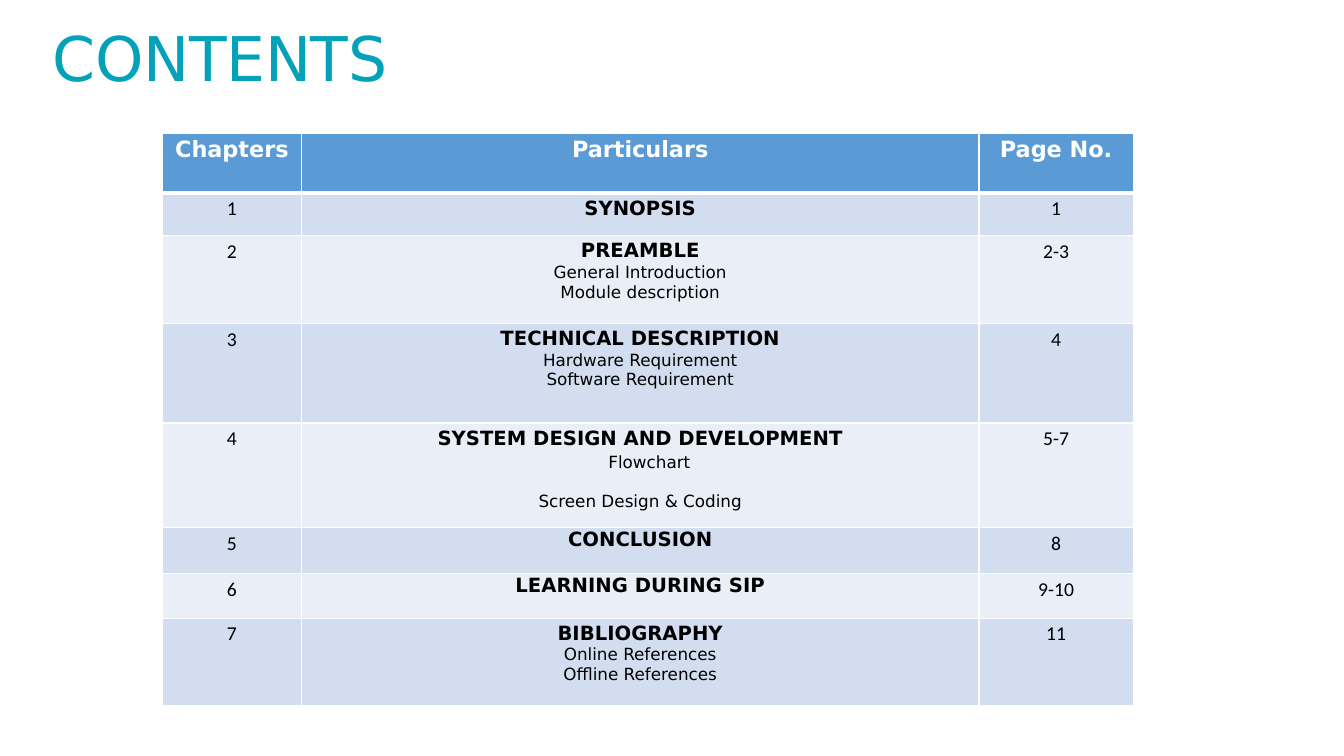
import pptx
import pptx.util
import pptx.dml.color
import pptx.enum.text
import pptx.oxml.ns
from lxml import etree

Cm, Pt = pptx.util.Cm, pptx.util.Pt
RGB = pptx.dml.color.RGBColor
PP_ALIGN = pptx.enum.text.PP_ALIGN
ANCHOR = pptx.enum.text.MSO_ANCHOR

# Content: sub-headings are (text, space before in pt, left indent in cm)
TITLE = "CONTENTS"
HEADER = ("Chapters", "Particulars", "Page No.")
CHAPTERS = [
    ("SYNOPSIS", [], "1"),
    ("PREAMBLE", [("General Introduction", 0, 0), ("Module description", 0, 0)], "2-3"),
    ("TECHNICAL DESCRIPTION",
     [("Hardware Requirement", 0, 0), ("Software Requirement", 0, 0)], "4"),
    ("SYSTEM DESIGN AND DEVELOPMENT",
     [("Flowchart", 2, 0.46), ("Screen Design & Coding", 14, 0)], "5-7"),
    ("CONCLUSION", [], "8"),
    ("LEARNING DURING SIP", [], "9-10"),
    ("BIBLIOGRAPHY", [("Online References", 0, 0), ("Offline References", 0, 0)], "11"),
]
TIGHT = ("CONCLUSION", "LEARNING DURING SIP")  # cells without top margin

# Layout in cm
COLS = (3.51, 17.07, 3.89)
ROWS = (1.52, 1.07, 2.21, 2.51, 2.64, 1.16, 1.12, 2.21)
LEFT, TOP = 4.09, 3.35

# Colours and formats
TEAL, BLUE = RGB(0x04, 0xA2, 0xB9), RGB(0x5B, 0x9B, 0xD5)
BANDS = (RGB(0xD2, 0xDE, 0xEF), RGB(0xEA, 0xEF, 0xF7))
WHITE, BLACK = RGB(255, 255, 255), RGB(0, 0, 0)
SANS = "DejaVu Sans"
TITLE_F = dict(name=SANS, size=Pt(44), bold=False)
HEAD_F = dict(name=SANS, size=Pt(16), bold=True)
NUMBER_F = dict(name="Calibri", size=Pt(14), bold=False)
CHAPTER_F = dict(name=SANS, size=Pt(14), bold=True)
SUB_F = dict(name=SANS, size=Pt(12), bold=False)


def add_text(p, text, fmt, color):
    r = p.add_run()
    r.text = text
    for key, value in fmt.items():
        setattr(r.font, key, value)
    r.font.color.rgb = color
    return r


def add_borders(cell, widths):
    tcPr = cell._tc.get_or_add_tcPr()
    for side, width in widths.items():
        ln = etree.SubElement(tcPr, pptx.oxml.ns.qn("a:ln" + side), w=str(Pt(width)))
        fill = etree.SubElement(ln, pptx.oxml.ns.qn("a:solidFill"))
        etree.SubElement(fill, pptx.oxml.ns.qn("a:srgbClr"), val=str(WHITE))


def fill_cell(cell, text, fmt, color, fill, row):
    add_borders(cell, dict(L=1, R=1, T=3 if row == 1 else 1, B=3 if row == 0 else 1))
    cell.fill.solid()
    cell.fill.fore_color.rgb = fill
    side, end = (0.16, 0) if text in TIGHT else (0.2, 0.1)
    cell.margin_left = cell.margin_right = Cm(side)
    cell.margin_top = cell.margin_bottom = Cm(end)
    p = cell.text_frame.paragraphs[0]
    p.alignment = PP_ALIGN.CENTER
    add_text(p, text, fmt, color)


prs = pptx.Presentation()
prs.slide_width, prs.slide_height = Cm(33.87), Cm(19.05)
s = prs.slides.add_slide(prs.slide_layouts[6])

# Title
tf = s.shapes.add_textbox(Cm(1.32), Cm(0.46), Cm(8.64), Cm(1.9)).text_frame
tf.word_wrap = True
tf.vertical_anchor = ANCHOR.MIDDLE
tf.margin_left = tf.margin_right = tf.margin_bottom = 0
tf.margin_top = Cm(0.03)
r = add_text(tf.paragraphs[0], TITLE, TITLE_F, TEAL)
r.font._element.set("spc", "-20")

# Table grid
table = s.shapes.add_table(len(ROWS), len(COLS), Cm(LEFT), Cm(TOP),
                           Cm(sum(COLS)), Cm(sum(ROWS))).table
for col, width in zip(table.columns, COLS):
    col.width = Cm(width)
for row, height in zip(table.rows, ROWS):
    row.height = Cm(height)

# Header row
for c, text in enumerate(HEADER):
    fill_cell(table.cell(0, c), text, HEAD_F, WHITE, BLUE, 0)

# Chapter rows
for n, (chapter, subs, page) in enumerate(CHAPTERS, 1):
    band = BANDS[(n - 1) % 2]
    values = ((str(n), NUMBER_F), (chapter, CHAPTER_F), (page, NUMBER_F))
    for c, (text, fmt) in enumerate(values):
        fill_cell(table.cell(n, c), text, fmt, BLACK, band, n)
    for text, before, indent in subs:
        p = table.cell(n, 1).text_frame.add_paragraph()
        p.alignment = PP_ALIGN.CENTER
        p.space_before = Pt(before)
        if indent:
            p._p.get_or_add_pPr().set("marL", str(Cm(indent)))
        add_text(p, text, SUB_F, BLACK)

prs.save("out.pptx")
